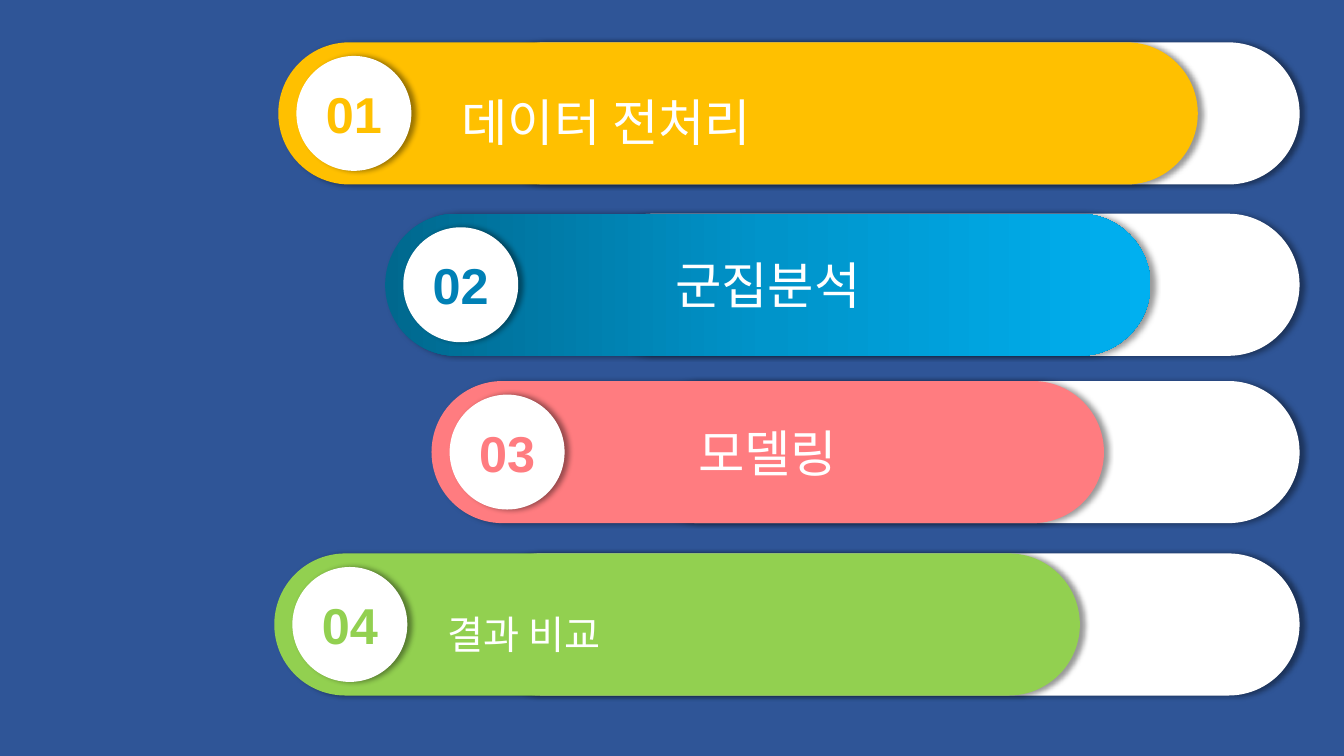
from lxml import etree
from pptx import Presentation
from pptx.dml.color import RGBColor
from pptx.enum.shapes import MSO_SHAPE
from pptx.enum.text import MSO_ANCHOR, MSO_AUTO_SIZE, PP_ALIGN
from pptx.oxml.ns import qn
from pptx.util import Inches, Pt

PILL, OVAL, RECT = MSO_SHAPE.ROUNDED_RECTANGLE, MSO_SHAPE.OVAL, MSO_SHAPE.RECTANGLE
MID, GROW = MSO_ANCHOR.MIDDLE, MSO_AUTO_SIZE.SHAPE_TO_FIT_TEXT
CENTER, JUSTIFY = PP_ALIGN.CENTER, PP_ALIGN.JUSTIFY

COLORS = {
    "back": "2F5597", "white": "FFFFFF", "shade": "000000",
    "gold": "FFC000", "blue": "0080B5", "pink": "FF7C80", "green": "92D050",
    "dark": "00688E", "mid": "0094CA", "light": "00B0F0",
}
BLEND = [(0, "dark"), (50, "mid"), (100, "light")]
BAR_H, DISC, RIGHT = 1.41, 1.14, 12.89


def add_form(kind, box, color, shadow=True):
    """Add a filled shape without outline, with a soft shadow if wanted."""
    form = slide.shapes.add_shape(kind, *map(Inches, box))
    form.fill.solid()
    form.fill.fore_color.rgb = RGBColor.from_string(COLORS[color])
    form.line.fill.background()
    form.shadow.inherit = False
    if kind == PILL:
        form.adjustments[0] = 0.5
    if shadow:
        effects = form.element.spPr.find(qn("a:effectLst"))
        outer = etree.SubElement(effects, qn("a:outerShdw"), blurRad=str(Pt(4)),
                                 dist=str(Pt(3)), dir="0", algn="l", rotWithShape="0")
        shade = etree.SubElement(outer, qn("a:srgbClr"), val=COLORS["shade"])
        etree.SubElement(shade, qn("a:alpha"), val="40000")
    return form


def put_text(form, text, size=36, color="white", bold=False, align=CENTER, space=None):
    """Write one formatted line of text into a shape."""
    frame = form.text_frame
    frame.word_wrap = True
    line = frame.paragraphs[0]
    line.alignment = align
    line.line_spacing = space
    run = line.add_run()
    run.text = text
    run.font.name = "Arial"
    run.font.size = Pt(size)
    run.font.bold = bold
    run.font.color.rgb = RGBColor.from_string(COLORS[color])


deck = Presentation()
deck.slide_width, deck.slide_height = Inches(13.33), Inches(7.5)
slide = deck.slides.add_slide(deck.slide_layouts[6])
add_form(RECT, (0, 0, 13.33, 7.5), "back", shadow=False)

# Left, top and width of each bar, its colour, label, label size and label box
steps = [
    (2.76, 0.42, 9.12, "gold", "데이터 전처리", 36, (4.48, 0.55, 6.61, 1.01)),
    (3.82, 2.12, 7.59, "blue", "군집분석", 36, None),
    (4.28, 3.78, 6.67, "pink", "모델링", 36, None),
    (2.72, 5.49, 7.99, "green", "결과 비교", 28, (4.34, 5.77, 4.5, 0.72)),
]
for num, (left, top, width, color, label, size, box) in enumerate(steps, 1):
    start = left + 1.94
    add_form(PILL, (start, top, RIGHT - start, BAR_H), "white")
    bar = add_form(PILL, (left, top, width, BAR_H), color)
    if color == "blue":
        bar.fill.gradient()
        bar.fill.gradient_angle = 0
        stops = bar.element.spPr.find(".//" + qn("a:gsLst"))
        stops.clear()
        for place, tone in BLEND:
            stop = etree.SubElement(stops, qn("a:gs"), pos=str(place * 1000))
            etree.SubElement(stop, qn("a:srgbClr"), val=COLORS[tone])

    disc = add_form(OVAL, (left + 0.18, top + (BAR_H - DISC) / 2, DISC, DISC), "white")
    disc.text_frame.vertical_anchor = MID
    put_text(disc, f"{num:02}", color=color, bold=True)

    if box:
        note = slide.shapes.add_textbox(*map(Inches, box))
        put_text(note, label, size=size, align=JUSTIFY, space=1.5)
        note.text_frame.auto_size = GROW
    else:
        bar.text_frame.vertical_anchor = MID
        put_text(bar, label, size=size)

deck.save("out.pptx")
